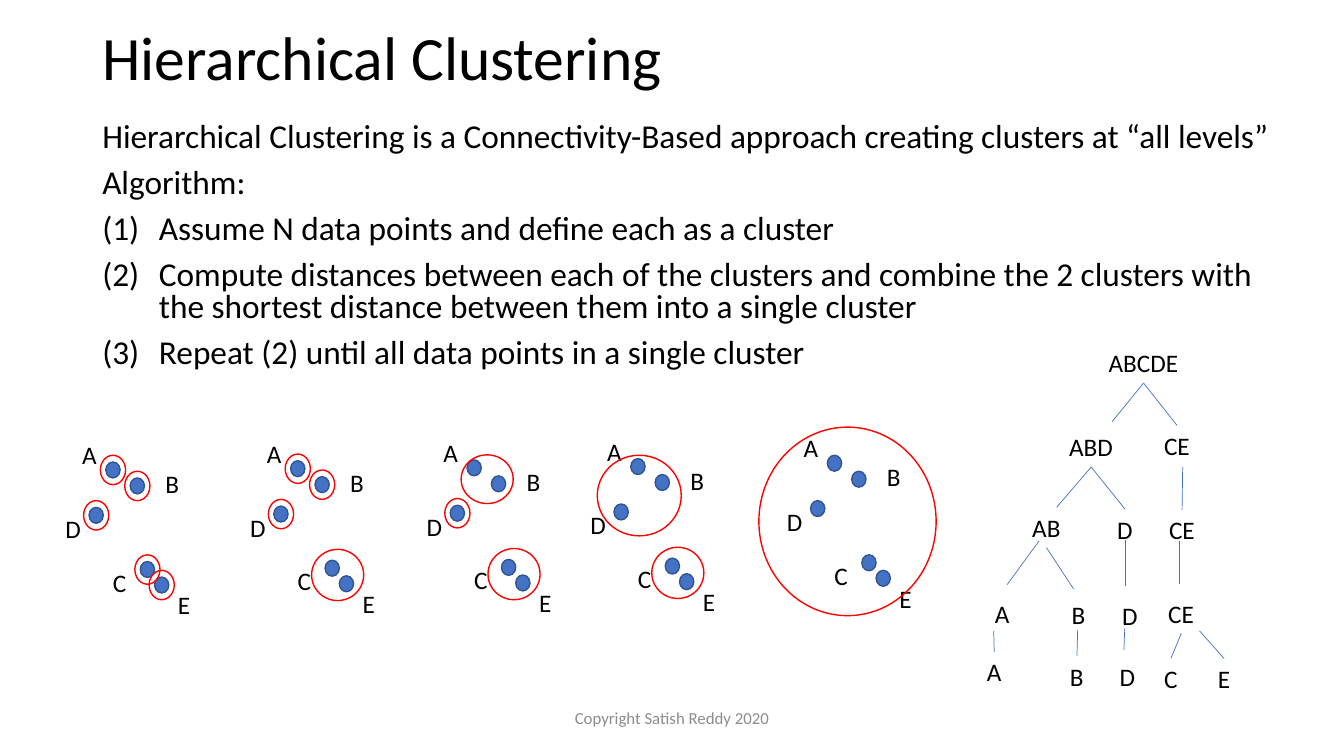
from dataclasses import dataclass
from typing import NamedTuple

from lxml.etree import SubElement
from pptx import Presentation
from pptx.dml.color import RGBColor
from pptx.enum.shapes import MSO_CONNECTOR, MSO_SHAPE
from pptx.enum.text import MSO_ANCHOR as Anchor, MSO_AUTO_SIZE as AutoSize, PP_ALIGN as Align
from pptx.oxml.ns import qn
from pptx.shapes.autoshape import Shape
from pptx.shapes.shapetree import SlideShapes
from pptx.util import Emu, Inches, Pt

COLUMNS, ROWS = 160, 90
CELL = Inches(1 / 12)


@dataclass(frozen=True)
class Theme:
    font: str = "Calibri"
    ink: str = "000000"
    muted: str = "8C8C8C"
    point: str = "4472C4"
    point_edge: str = "325491"
    ring: str = "FF0000"
    branch: str = "4472C4"
    title: float = 44
    body: float = 23.8
    label: float = 18
    footer: float = 12
    outline: float = 1
    branch_width: float = 0.5


class Spot(NamedTuple):
    col: float
    row: float

    def shift(self, col: float, row: float) -> "Spot":
        return Spot(self.col + col, self.row + row)


class Size(NamedTuple):
    cols: float
    rows: float


class DataPoint(NamedTuple):
    name: str
    dot: Spot
    label: Spot


class Stage(NamedTuple):
    origin: Spot
    clusters: tuple[str, ...]


class Node(NamedTuple):
    name: str
    level: int
    spot: Spot


class Branch(NamedTuple):
    start: Spot | str
    end: Spot | str


THEME = Theme()
DOT = Size(1.7, 1.9)
SINGLE_RING = Size(3, 3.5)
LABEL_PADDING, LABEL_ROWS = 2.4, 4.8
LETTER_COLS = {"A": 1.74, "B": 1.63, "C": 1.6, "D": 1.85, "E": 1.46}
NUMBER_INDENT = 6.75

POINTS = (
    DataPoint("A", Spot(0, 0), Spot(-4, -3.3)),
    DataPoint("B", Spot(2.9, 1.9), Spot(5.9, 0.15)),
    DataPoint("D", Spot(-2, 5.4), Spot(-6, 5.5)),
    DataPoint("C", Spot(4.1, 11.85), Spot(-0.35, 11.9)),
    DataPoint("E", Spot(5.8, 13.7), Spot(7.4, 14.6)),
)
MERGED_RINGS = {
    "CE": (Spot(2.5, 10.55), Size(6.2, 6.1)),
    "AB": (Spot(-0.7, -0.6), Size(6.2, 5.8)),
    "ABD": (Spot(-4, -0.4), Size(10, 9.6)),
    "ABCDE": (Spot(-8.15, -3.35), Size(21.1, 22.45)),
}
SINGLE_RINGS = {
    p.name: (p.dot.shift((DOT.cols - SINGLE_RING.cols) / 2, (DOT.rows - SINGLE_RING.rows) / 2), SINGLE_RING)
    for p in POINTS
}
RINGS = SINGLE_RINGS | MERGED_RINGS
STAGES = (
    Stage(Spot(12.6, 55), ("A", "B", "D", "C", "E")),
    Stage(Spot(34.6, 54.85), ("A", "B", "D", "CE")),
    Stage(Spot(55.6, 54.75), ("AB", "D", "CE")),
    Stage(Spot(75.1, 54.6), ("ABD", "CE")),
    Stage(Spot(98.5, 54.2), ("ABCDE",)),
)
NODES = (
    Node("ABCDE", 1, Spot(130.8, 40.8)),
    Node("ABD", 2, Spot(126.1, 50.8)),
    Node("CE", 2, Spot(137.4, 50.65)),
    Node("AB", 3, Spot(121.7, 60.4)),
    Node("D", 3, Spot(131.8, 60.6)),
    Node("CE", 3, Spot(138, 60.7)),
    Node("A", 4, Spot(117.25, 70.6)),
    Node("B", 4, Spot(126.4, 70.8)),
    Node("D", 4, Spot(132.4, 70.9)),
    Node("CE", 4, Spot(137.9, 70.6)),
    Node("A", 5, Spot(116.3, 77.6)),
    Node("B", 5, Spot(126.2, 78.1)),
    Node("D", 5, Spot(132.1, 78.1)),
    Node("C", 5, Spot(137.4, 78.4)),
    Node("E", 5, Spot(143.8, 78.4)),
)
BRANCHES = (
    Branch("ABCDE1", Spot(132.4, 50.2)),
    Branch("ABCDE1", "CE2"),
    Branch("ABD2", Spot(125.8, 60.4)),
    Branch("ABD2", "D3"),
    Branch(Spot(140.8, 55.6), "CE3"),
    Branch(Spot(123.7, 64.4), Spot(119.9, 69.6)),
    Branch("AB3", Spot(127.8, 70.1)),
    Branch(Spot(134, 64.3), Spot(134, 69.8)),
    Branch(Spot(140.4, 64.4), Spot(140.4, 69.5)),
    Branch(Spot(118.3, 75.1), "A5"),
    Branch(Spot(128.3, 75), "B5"),
    Branch(Spot(133.9, 74.8), Spot(133.8, 77.4)),
    Branch("CE4", "C5"),
    Branch(Spot(142.8, 75.1), "E5"),
)
INTRO = (
    "Hierarchical Clustering is a Connectivity-Based approach creating clusters at “all levels”",
    "Algorithm:",
)
STEPS = (
    "Assume N data points and define each as a cluster",
    "Compute distances between each of the clusters and combine the 2 clusters with "
    "the shortest distance between them into a single cluster",
    "Repeat (2) until all data points in a single cluster",
)


def cells(count: float) -> Emu:
    return Emu(round(count * CELL))


def add_text(shapes: SlideShapes, lines: tuple[str, ...], spot: Spot, size: Size, *, points: float,
             color: str = THEME.ink, align: Align = Align.LEFT, anchor: Anchor = Anchor.TOP,
             spacing: float = 1, before: float = 0, wrap: bool = True, numbered_from: int | None = None) -> Shape:
    box = shapes.add_textbox(*map(cells, (*spot, *size)))
    frame = box.text_frame
    frame.word_wrap = wrap
    frame.auto_size = AutoSize.NONE if wrap else AutoSize.SHAPE_TO_FIT_TEXT
    frame.vertical_anchor = anchor
    for index, line in enumerate(lines):
        paragraph = frame.paragraphs[0] if index == 0 else frame.add_paragraph()
        paragraph.alignment, paragraph.line_spacing, paragraph.space_before = align, spacing, Pt(before)
        run = paragraph.add_run()
        run.text = line
        run.font.name, run.font.size = THEME.font, Pt(points)
        run.font.color.rgb = RGBColor.from_string(color)
        if numbered_from is not None and index >= numbered_from:
            properties = paragraph._p.get_or_add_pPr()
            properties.set("marL", str(cells(NUMBER_INDENT)))
            properties.set("indent", str(-cells(NUMBER_INDENT)))
            SubElement(properties, qn("a:buAutoNum"), type="arabicParenBoth")
    return box


def add_label(shapes: SlideShapes, name: str, spot: Spot) -> Shape:
    width = LABEL_PADDING + sum(LETTER_COLS[letter] for letter in name)
    return add_text(shapes, (name,), spot, Size(width, LABEL_ROWS), points=THEME.label, wrap=False)


def add_ellipse(shapes: SlideShapes, spot: Spot, size: Size, edge: str, fill: str | None = None) -> None:
    ellipse = shapes.add_shape(MSO_SHAPE.OVAL, *map(cells, (*spot, *size)))
    ellipse.shadow.inherit = False
    ellipse.line.color.rgb, ellipse.line.width = RGBColor.from_string(edge), Pt(THEME.outline)
    if fill is None:
        ellipse.fill.background()
    else:
        ellipse.fill.solid()
        ellipse.fill.fore_color.rgb = RGBColor.from_string(fill)


def add_stage(shapes: SlideShapes, stage: Stage) -> None:
    for point in POINTS:
        add_ellipse(shapes, stage.origin.shift(*point.dot), DOT, THEME.point_edge, THEME.point)
        add_label(shapes, point.name, stage.origin.shift(*point.label))
    for cluster in stage.clusters:
        offset, size = RINGS[cluster]
        add_ellipse(shapes, stage.origin.shift(*offset), size, THEME.ring)


def add_branch(shapes: SlideShapes, branch: Branch, labels: dict[str, Shape]) -> None:
    start, end = (Spot(0, 0) if isinstance(tip, str) else tip for tip in branch)
    line = shapes.add_connector(MSO_CONNECTOR.STRAIGHT, *map(cells, (*start, *end)))
    if isinstance(branch.start, str):
        line.begin_connect(labels[branch.start], 2)
    if isinstance(branch.end, str):
        line.end_connect(labels[branch.end], 0)
    line.line.color.rgb, line.line.width = RGBColor.from_string(THEME.branch), Pt(THEME.branch_width)
    SubElement(line._element.spPr, qn("a:effectLst"))


def main() -> None:
    deck = Presentation()
    deck.slide_width, deck.slide_height = cells(COLUMNS), cells(ROWS)
    shapes = deck.slides.add_slide(deck.slide_layouts[6]).shapes
    add_text(shapes, ("Hierarchical Clustering",), Spot(11, 1.4), Size(138, 11.6),
             points=THEME.title, anchor=Anchor.MIDDLE, spacing=0.9)
    add_text(shapes, INTRO + STEPS, Spot(11, 14), Size(143.8, 31.6),
             points=THEME.body, spacing=0.8, before=10, numbered_from=len(INTRO))
    add_text(shapes, ("Copyright Satish Reddy 2020",), Spot(53, 83), Size(54, 4.8),
             points=THEME.footer, color=THEME.muted, align=Align.CENTER, anchor=Anchor.MIDDLE)
    for stage in STAGES:
        add_stage(shapes, stage)
    labels = {f"{node.name}{node.level}": add_label(shapes, node.name, node.spot) for node in NODES}
    for branch in BRANCHES:
        add_branch(shapes, branch, labels)
    deck.save("out.pptx")


if __name__ == "__main__":
    main()
